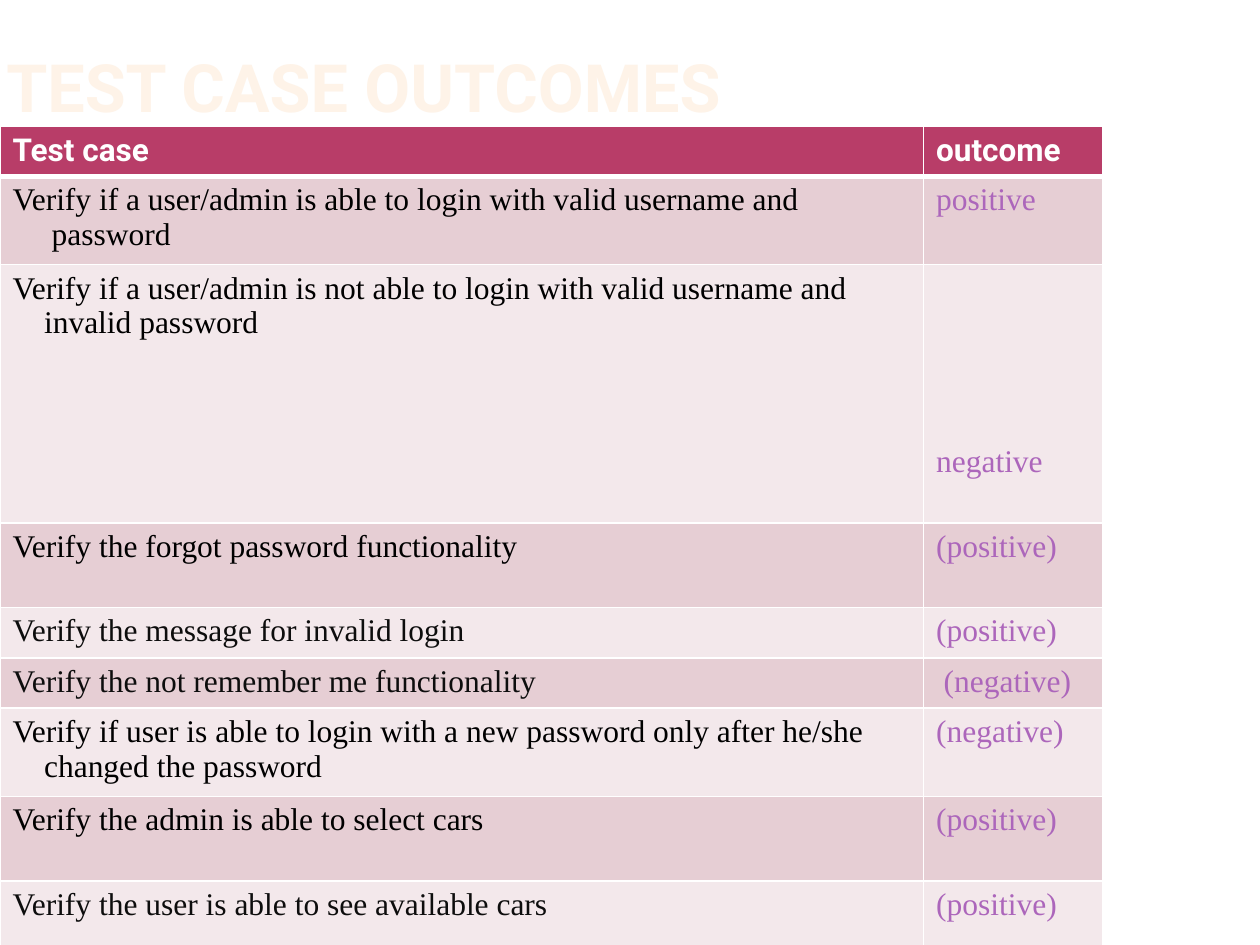
from pptx import Presentation
from pptx.dml.color import RGBColor
from pptx.enum import text
from pptx.oxml import parse_xml
from pptx.oxml.ns import nsdecls
from pptx.util import Inches, Pt

THEME = {
    "title": "FEF3E8", "header": "B83D68", "bands": ("E6CED4", "F3E8EB"),
    "white": "FFFFFF", "black": "000000", "soft_black": "0D0D0D", "outcome": "AC66BB",
    "heading_font": "Roboto", "body_font": "Times New Roman",
    "title_size": 38, "body_size": 18,
}

TITLE = "TEST CASE OUTCOMES"
HEADERS = ("Test case", "outcome")
CASES = [
    {"lines": ["Verify if a user/admin is able to login with valid username and", "password"],
     "outcome": "positive", "height": 0.66, "indent": 0.31},
    {"lines": ["Verify if a user/admin is not able to login with valid username and", "invalid password"],
     "outcome": "negative", "height": 2.05, "drop": 1.38},
    {"lines": ["Verify the forgot password functionality"], "outcome": "(positive)", "height": 0.67},
    {"lines": ["Verify the message for invalid login"], "outcome": "(positive)",
     "height": 0.38, "color": "soft_black"},
    {"lines": ["Verify the not remember me functionality"], "outcome": "(negative)",
     "height": 0.38, "color": "soft_black", "shift": 0.06},
    {"lines": ["Verify if user is able to login with a new password only after he/she", "changed the password"],
     "outcome": "(negative)", "height": 0.67},
    {"lines": ["Verify the admin is able to select cars"], "outcome": "(positive)", "height": 0.67},
    {"lines": ["Verify the user is able to see available cars"], "outcome": "(positive)",
     "height": 0.63, "color": "soft_black"},
]
COLUMN_WIDTHS = (7.33, 1.42)
HEADER_HEIGHT = 0.38


def write(frame, lines, color, font="body_font", size="body_size", bold=False, indent=0.25):
    for index, line in enumerate(lines):
        paragraph = frame.add_paragraph() if index else frame.paragraphs[0]
        if index:
            paragraph._p.get_or_add_pPr().set("marL", str(Inches(indent)))
        run = paragraph.add_run()
        run.text = line
        run.font.name = THEME[font]
        run.font.size = Pt(THEME[size])
        run.font.bold = bold
        run.font.color.rgb = RGBColor.from_string(THEME[color])


def style_cell(cell, fill, bottom=1):
    for position, (side, width) in enumerate((("L", 1), ("R", 1), ("T", 1), ("B", bottom))):
        line = parse_xml(
            f'<a:ln{side} {nsdecls("a")} w="{Pt(width)}"><a:solidFill>'
            f'<a:srgbClr val="{THEME["white"]}"/></a:solidFill></a:ln{side}>')
        cell._tc.get_or_add_tcPr().insert(position, line)
    cell.fill.solid()
    cell.fill.fore_color.rgb = RGBColor.from_string(fill)


def add_title(slide):
    frame = slide.shapes.add_textbox(Inches(0), Inches(-0.25), Inches(7.92), Inches(1.25)).text_frame
    frame.word_wrap = True
    frame.vertical_anchor = text.MSO_ANCHOR.BOTTOM
    frame.margin_left = frame.margin_right = Inches(0.05)
    frame.margin_top = frame.margin_bottom = 0
    write(frame, [TITLE], "title", font="heading_font", size="title_size", bold=True)


def add_cases(slide):
    heights = [HEADER_HEIGHT] + [case["height"] for case in CASES]
    table = slide.shapes.add_table(
        len(heights), len(COLUMN_WIDTHS), Inches(0), Inches(1),
        Inches(sum(COLUMN_WIDTHS)), Inches(sum(heights))).table
    for column, width in zip(table.columns, COLUMN_WIDTHS):
        column.width = Inches(width)
    for row, height in zip(table.rows, heights):
        row.height = Inches(height)
    for column, header in enumerate(HEADERS):
        cell = table.cell(0, column)
        write(cell.text_frame, [header], "white", font="heading_font", bold=True)
        style_cell(cell, THEME["header"], bottom=3)
    for index, case in enumerate(CASES):
        name, outcome = table.cell(index + 1, 0), table.cell(index + 1, 1)
        write(name.text_frame, case["lines"], case.get("color", "black"), indent=case.get("indent", 0.25))
        write(outcome.text_frame, [case["outcome"]], "outcome")
        outcome.margin_top = Inches(0.05 + case.get("drop", 0))
        outcome.margin_left = Inches(0.1 + case.get("shift", 0))
        for cell in (name, outcome):
            style_cell(cell, THEME["bands"][index % 2])


def main():
    presentation = Presentation()
    presentation.slide_width, presentation.slide_height = Inches(10), Inches(7.5)
    slide = presentation.slides.add_slide(presentation.slide_layouts[6])
    add_title(slide)
    add_cases(slide)
    presentation.save("out.pptx")


if __name__ == "__main__":
    main()
